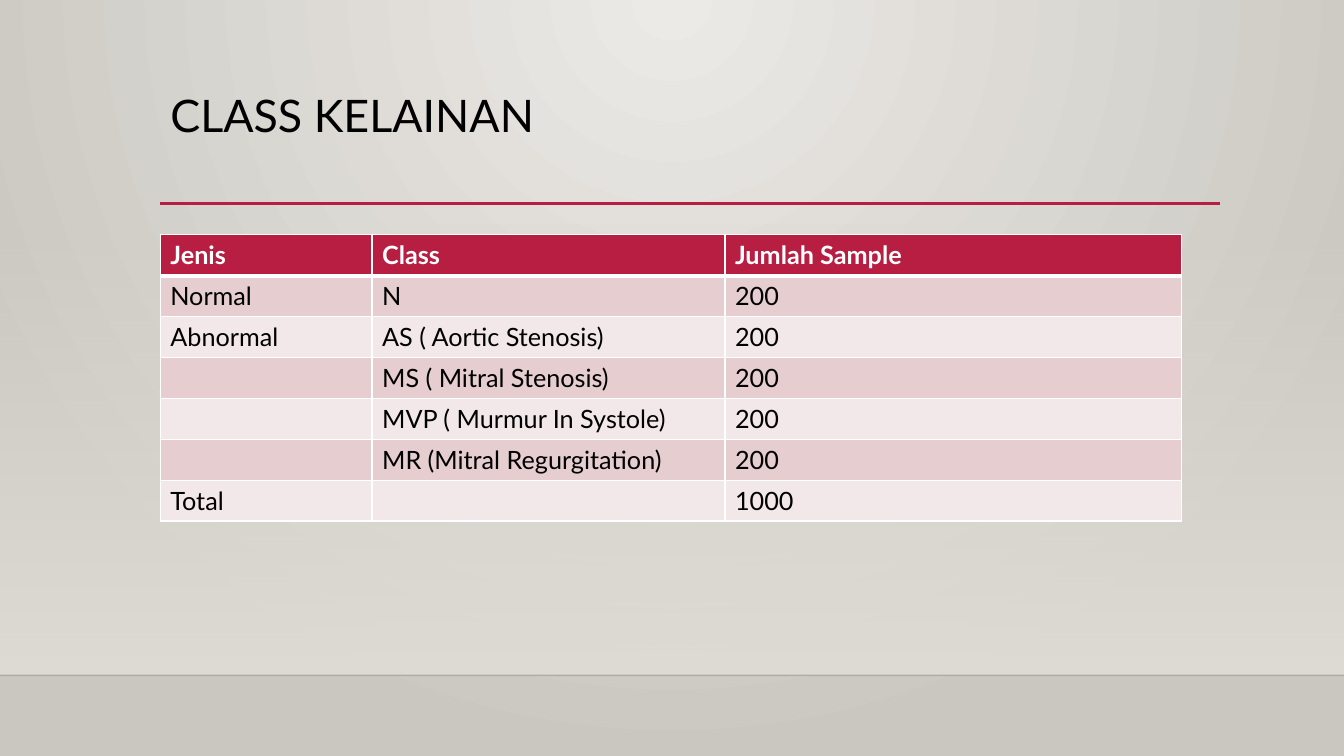
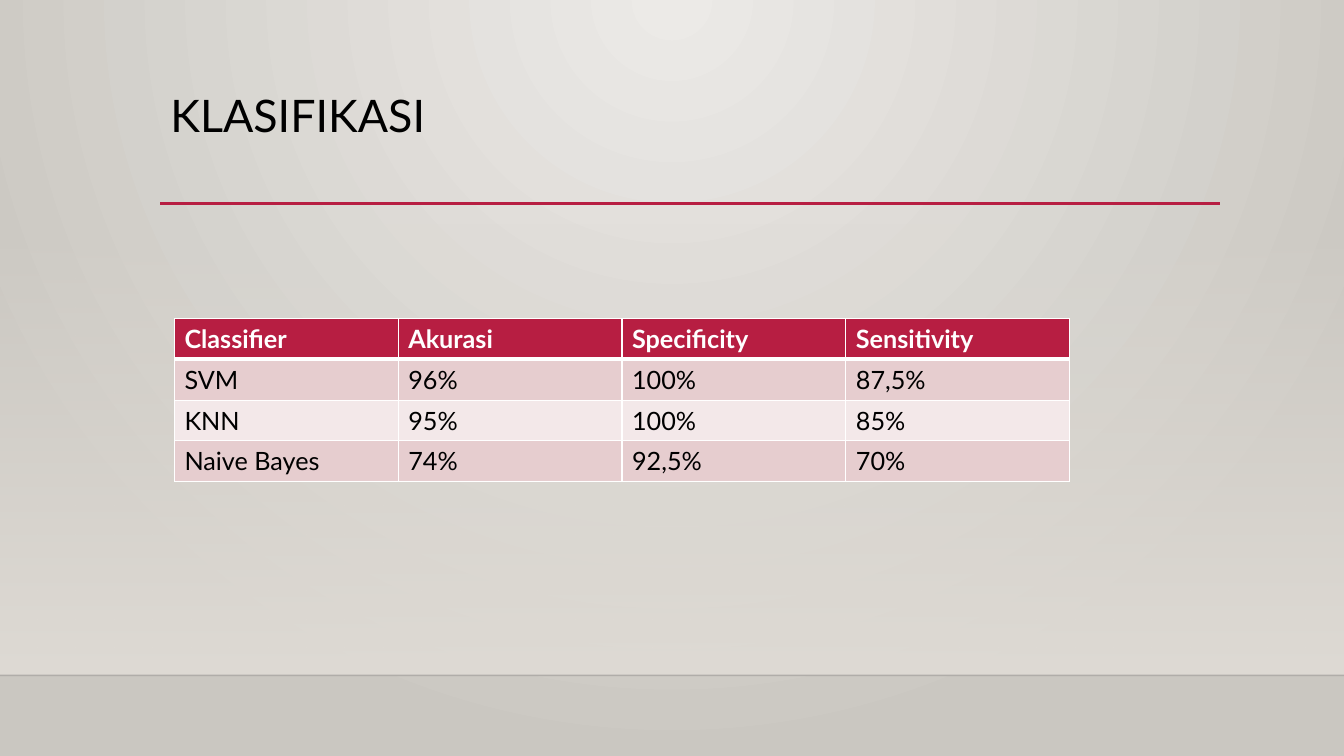
from lxml import etree
from pptx import Presentation
from pptx.dml.color import RGBColor
from pptx.enum.shapes import MSO_CONNECTOR, MSO_SHAPE
from pptx.enum.text import MSO_ANCHOR, MSO_AUTO_SIZE, PP_ALIGN
from pptx.oxml.ns import qn
from pptx.util import Inches, Pt

STRAIGHT = MSO_CONNECTOR.STRAIGHT
RECTANGLE = MSO_SHAPE.RECTANGLE
TOP = MSO_ANCHOR.TOP
NO_AUTOFIT = MSO_AUTO_SIZE.NONE
LEFT = PP_ALIGN.LEFT

FONT = "Lato"
COLORS = {
    "glow": "ECEAE7",
    "edge": "CAC7C1",
    "band": "DFDBD5",
    "floor": "000001",
    "accent": "B71E42",
    "odd_row": "E6CDCF",
    "even_row": "F3E8E9",
    "white": "FFFFFF",
    "text": "000000",
}
SLIDE_WIDTH, SLIDE_HEIGHT = 13.33, 7.5
MARGIN = 1.59
BAND_TOP, FLOOR_Y, RULE_Y = 2.21, 6.7, 2.02

SAMPLES = [
    ["Jenis", "Class", "Jumlah Sample"],
    ["Normal", "N", "200"],
    ["Abnormal", "AS ( Aortic Stenosis)", "200"],
    ["", "MS ( Mitral Stenosis)", "200"],
    ["", "MVP ( Murmur In Systole)", "200"],
    ["", "MR (Mitral Regurgitation)", "200"],
    ["Total", "", "1000"],
]
SCORES = [
    ["Classifier", "Akurasi", "Specificity", "Sensitivity"],
    ["SVM", "96%", "100%", "87,5%"],
    ["KNN", "95%", "100%", "85%"],
    ["Naive Bayes", "74%", "92,5%", "70%"],
]


def rgb(name):
    """Return the named palette colour."""
    return RGBColor.from_string(COLORS[name])


def set_gradient(fill, names):
    """Give a fill one gradient stop for each of two named colours."""
    fill.gradient()
    for position, (stop, name) in enumerate(zip(fill.gradient_stops, names)):
        stop.position = position
        stop.color.rgb = rgb(name)


def set_opacity(element, percent):
    """Set the opacity of the first RGB colour inside an element."""
    color = next(element.iter(qn("a:srgbClr")))
    etree.SubElement(color, qn("a:alpha"), val=str(percent * 1000))


def set_background(master):
    """Light the master from the top centre with a radial gradient."""
    set_gradient(master.background.fill, ("glow", "edge"))
    gradient = next(master.element.iter(qn("a:gradFill")))
    gradient.remove(gradient.find(qn("a:lin")))
    radial = etree.SubElement(gradient, qn("a:path"), path="circle")
    etree.SubElement(radial, qn("a:fillToRect"), l="43000", t="0", r="43000", b="100000")


def add_rule(slide, left, right, y, color, width):
    """Draw a horizontal line without a shadow."""
    rule = slide.shapes.add_connector(
        STRAIGHT, Inches(left), Inches(y), Inches(right), Inches(y)
    )
    rule.line.color.rgb = rgb(color)
    rule.line.width = Pt(width)
    etree.SubElement(rule.element.spPr, qn("a:effectLst"))
    return rule


def add_band(slide):
    """Draw the wall band that fades in toward the floor."""
    band = slide.shapes.add_shape(
        RECTANGLE, 0, Inches(BAND_TOP), Inches(SLIDE_WIDTH), Inches(FLOOR_Y - BAND_TOP)
    )
    band.shadow.inherit = False
    band.line.fill.background()
    set_gradient(band.fill, ("band", "band"))
    band.fill.gradient_angle = 270
    set_opacity(band.element.spPr, 0)


def add_run(paragraph, text, size, color, bold=False):
    """Add one formatted run to a paragraph."""
    run = paragraph.add_run()
    run.text = text
    run.font.name = FONT
    run.font.size = Pt(size)
    run.font.bold = bold
    run.font.color.rgb = rgb(color)


def add_titled_slide(prs, heading):
    """Add a slide with the shared decoration and a title."""
    slide = prs.slides.add_slide(prs.slide_layouts[5])
    add_band(slide)
    floor = add_rule(slide, 0, SLIDE_WIDTH, FLOOR_Y, "floor", 1)
    set_opacity(floor.element.spPr, 20)
    add_rule(slide, MARGIN, 12.1, RULE_Y, "accent", 2.5)
    title = slide.shapes.title
    title.left, title.top = Inches(MARGIN), Inches(0.88)
    title.width, title.height = Inches(10.5), Inches(1.15)
    frame = title.text_frame
    frame.auto_size = NO_AUTOFIT
    frame.vertical_anchor = TOP
    frame.word_wrap = True
    paragraph = frame.paragraphs[0]
    paragraph.alignment = LEFT
    paragraph.line_spacing = 0.9
    add_run(paragraph, heading, 32, "text")
    return slide


def set_borders(cell, top, bottom):
    """Outline a cell in white, with its top and bottom widths in points."""
    properties = cell._tc.get_or_add_tcPr()
    for side, width in (("L", 1), ("R", 1), ("T", top), ("B", bottom)):
        border = etree.SubElement(properties, qn(f"a:ln{side}"), w=str(Pt(width)))
        fill = etree.SubElement(border, qn("a:solidFill"))
        etree.SubElement(fill, qn("a:srgbClr"), val=COLORS["white"])


def add_data_table(slide, rows, left, top, height, widths):
    """Add a banded table whose first row is the header."""
    table = slide.shapes.add_table(
        len(rows), len(widths), Inches(left), Inches(top),
        Inches(sum(widths)), Inches(height),
    ).table
    for column, width in zip(table.columns, widths):
        column.width = Inches(width)
    for r, row in enumerate(rows):
        header = r == 0
        band = "accent" if header else "odd_row" if r % 2 else "even_row"
        for c, text in enumerate(row):
            cell = table.cell(r, c)
            set_borders(cell, 3 if r == 1 else 1, 3 if header else 1)
            cell.fill.solid()
            cell.fill.fore_color.rgb = rgb(band)
            if text:
                color = "white" if header else "text"
                add_run(cell.text_frame.paragraphs[0], text, 18, color, header)


def main():
    """Build both slides and save the presentation."""
    prs = Presentation()
    prs.slide_width, prs.slide_height = Inches(SLIDE_WIDTH), Inches(SLIDE_HEIGHT)
    set_background(prs.slide_master)
    classes = add_titled_slide(prs, "CLASS KELAINAN")
    add_data_table(classes, SAMPLES, MARGIN, 2.33, 2.84, [2.1, 3.5, 4.53])
    classification = add_titled_slide(prs, "KLASIFIKASI")
    add_data_table(classification, SCORES, 1.73, 3.16, 1.62, [2.22] * 4)
    prs.save("out.pptx")


main()
